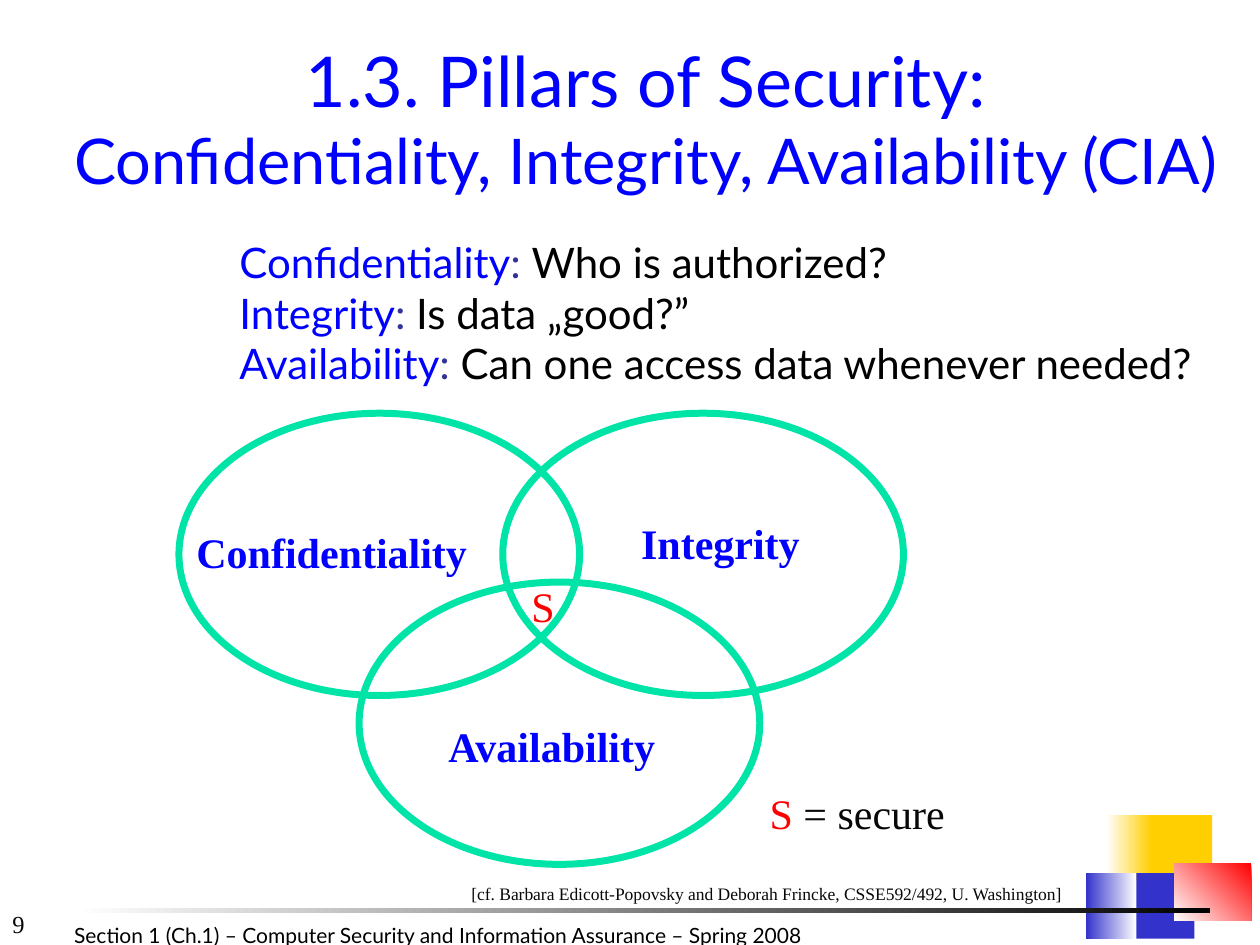
from pptx import Presentation
from pptx.dml.color import RGBColor
from pptx.enum.shapes import MSO_SHAPE
from pptx.enum.text import MSO_ANCHOR, MSO_AUTO_SIZE, PP_ALIGN
from pptx.util import Inches, Pt

COLORS = {
    "white": "FFFFFF", "black": "000000", "ink": "080808", "blue": "0000FF",
    "indigo": "333399", "green": "00E4A8", "red": "FF0000",
    "gold": "FFCF01", "navy": "3333CC",
}
SANS, SERIF = "Lato", "Times New Roman"

TITLE = [
    ("1.3. Pillars of Security:", 40),
    ("Confidentiality, Integrity, Availability (CIA)", 36),
]
QUESTIONS = [
    ("Confidentiality", "Who is authorized?"),
    ("Integrity", "Is data „good?”"),
    ("Availability", "Can one access data whenever needed?"),
]
DECORATIONS = [
    ((8.78, 6.47, 0.36, 0.52), ("white", "gold"), 0),
    ((8.62, 6.93, 0.4, 0.52), ("navy", "white"), 0),
    ((9.14, 6.47, 0.48, 0.52), ("gold",), 0),
    ((9.02, 6.93, 0.46, 0.52), ("navy",), 0),
    ((9.32, 6.85, 0.61, 0.46), ("red", "white"), 225),
    ((0.6, 7.21, 9, 0.04), ("white", "black"), 0),
]
ELLIPSE_SIZE = (3.18, 2.24)
PILLARS = [
    ("Confidentiality", (1.42, 3.28), (1.46, 4.19, 2.72, 0.44)),
    ("Integrity", (3.99, 3.28), (4.99, 4.12, 1.46, 0.44)),
    ("Availability", (2.85, 4.62), (3.46, 5.73, 1.87, 0.44)),
]
PAGE_NUMBER = "9"
FOOTER = "Section 1 (Ch.1) – Computer Security and Information Assurance – Spring 2008"
CITATION = "[cf. Barbara Edicott-Popovsky and Deborah Frincke, CSSE592/492, U. Washington]"


def color(name):
    return RGBColor.from_string(COLORS[name])


def add_runs(paragraph, runs, size, font_name, bold=False):
    for text, color_name in runs:
        run = paragraph.add_run()
        run.text = text
        run.font.size = Pt(size)
        run.font.name = font_name
        run.font.bold = bold
        run.font.color.rgb = color(color_name)


def add_text(slide, box, lines, size, font_name, bold=False,
             align=PP_ALIGN.LEFT, anchor=MSO_ANCHOR.TOP, spacing=None):
    text_frame = slide.shapes.add_textbox(*map(Inches, box)).text_frame
    text_frame.word_wrap = True
    text_frame.vertical_anchor = anchor
    for index, runs in enumerate(lines):
        paragraph = text_frame.add_paragraph() if index else text_frame.paragraphs[0]
        paragraph.alignment = align
        paragraph.line_spacing = spacing
        add_runs(paragraph, runs, size, font_name, bold)
    return text_frame


def add_shape(slide, kind, box):
    shape = slide.shapes.add_shape(kind, *map(Inches, box))
    shape.shadow.inherit = False
    return shape


def add_decoration(slide, box, fill_colors, angle):
    shape = add_shape(slide, MSO_SHAPE.RECTANGLE, box)
    shape.line.fill.background()
    if len(fill_colors) == 1:
        shape.fill.solid()
        shape.fill.fore_color.rgb = color(fill_colors[0])
        return
    shape.fill.gradient()
    shape.fill.gradient_angle = angle
    for stop, name in zip(shape.fill.gradient_stops, fill_colors):
        stop.color.rgb = color(name)


def add_title(slide):
    title = slide.shapes.title
    title.left, title.top, title.width, title.height = map(Inches, (0.25, 0.25, 9.75, 1.5))
    text_frame = title.text_frame
    text_frame.auto_size = MSO_AUTO_SIZE.NONE
    text_frame.vertical_anchor = MSO_ANCHOR.TOP
    for index, (text, size) in enumerate(TITLE):
        paragraph = text_frame.add_paragraph() if index else text_frame.paragraphs[0]
        paragraph.alignment = PP_ALIGN.CENTER
        add_runs(paragraph, [(text, "blue")], size, SANS)


def add_venn(slide):
    for _, corner, _ in PILLARS:
        ellipse = add_shape(slide, MSO_SHAPE.OVAL, corner + ELLIPSE_SIZE)
        ellipse.fill.background()
        ellipse.line.color.rgb = color("green")
        ellipse.line.width = Pt(4)
    for name, _, box in PILLARS:
        add_text(slide, box, [[(name, "blue")]], 24, SERIF, bold=True, spacing=0.85)
    add_text(slide, (4.06, 4.56, 0.5, 0.5), [[("S", "red")]], 24, SERIF, align=PP_ALIGN.CENTER)


def main():
    """Build the slide on the three pillars of security."""
    presentation = Presentation()
    presentation.slide_width, presentation.slide_height = Inches(10), Inches(7.5)
    slide = presentation.slides.add_slide(presentation.slide_layouts[5])

    add_text(slide, (0, 7, 2.08, 0.5), [[(PAGE_NUMBER, "ink")]], 14, SERIF,
             anchor=MSO_ANCHOR.BOTTOM)
    for box, fill_colors, angle in DECORATIONS:
        add_decoration(slide, box, fill_colors, angle)
    add_text(slide, (0.49, 7.27, 6.7, 0.3), [[(FOOTER, "black")]], 12, SANS)

    add_title(slide)
    lines = [[(name, "blue"), (": ", "indigo"), (question, "black")]
             for name, question in QUESTIONS]
    questions = add_text(slide, (1.83, 1.85, 7.99, 1.3), lines, 24, SANS)
    questions.margin_left = questions.margin_right = Inches(0.07)
    questions.margin_top = questions.margin_bottom = Inches(0.03)

    add_venn(slide)
    add_text(slide, (6.01, 6.2, 2.08, 0.5), [[("S", "red"), (" = secure", "ink")]], 24, SERIF)
    add_text(slide, (2.35, 6.96, 6.17, 0.27), [[(CITATION, "ink")]], 10, SERIF,
             align=PP_ALIGN.RIGHT)
    presentation.save("out.pptx")


if __name__ == "__main__":
    main()
